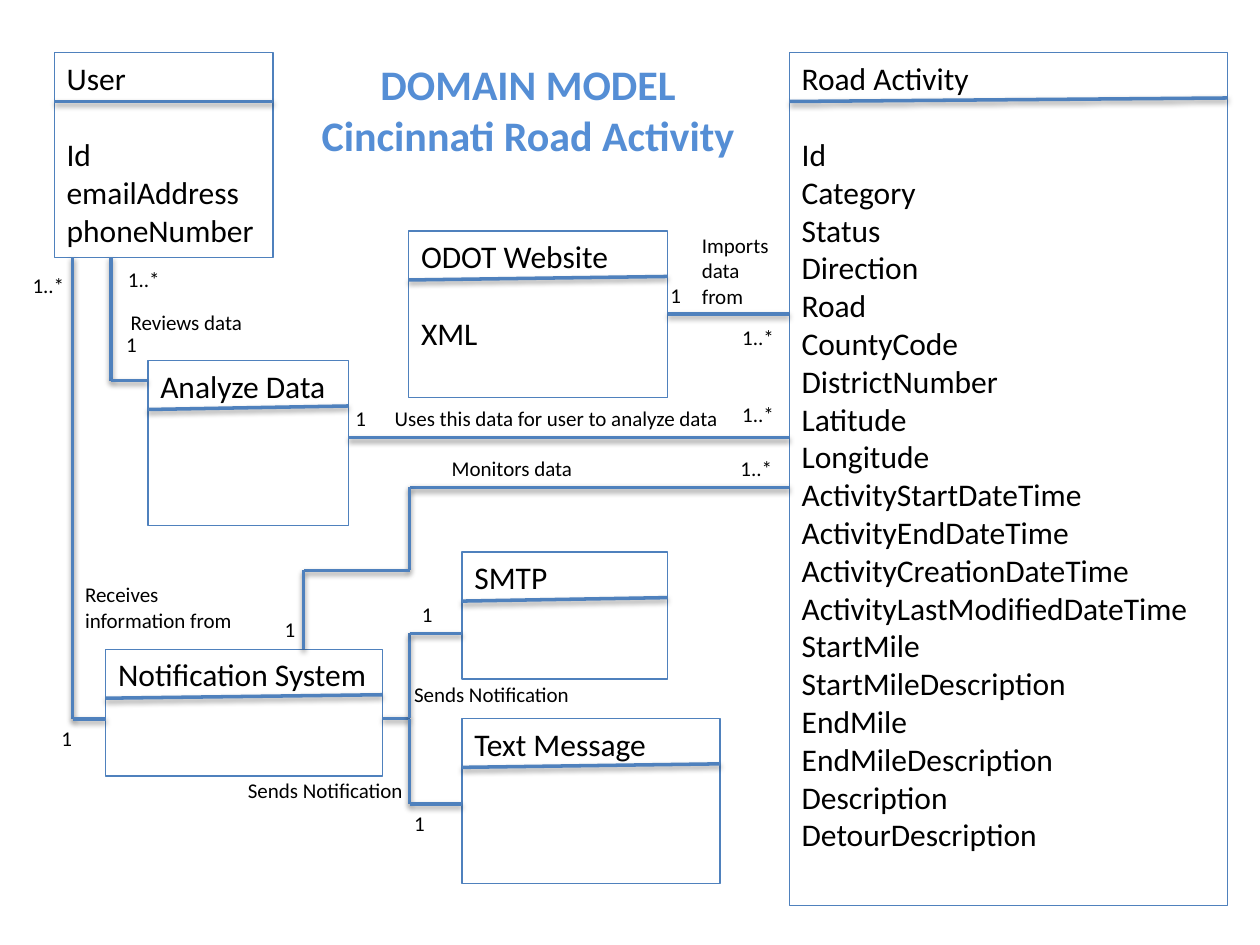
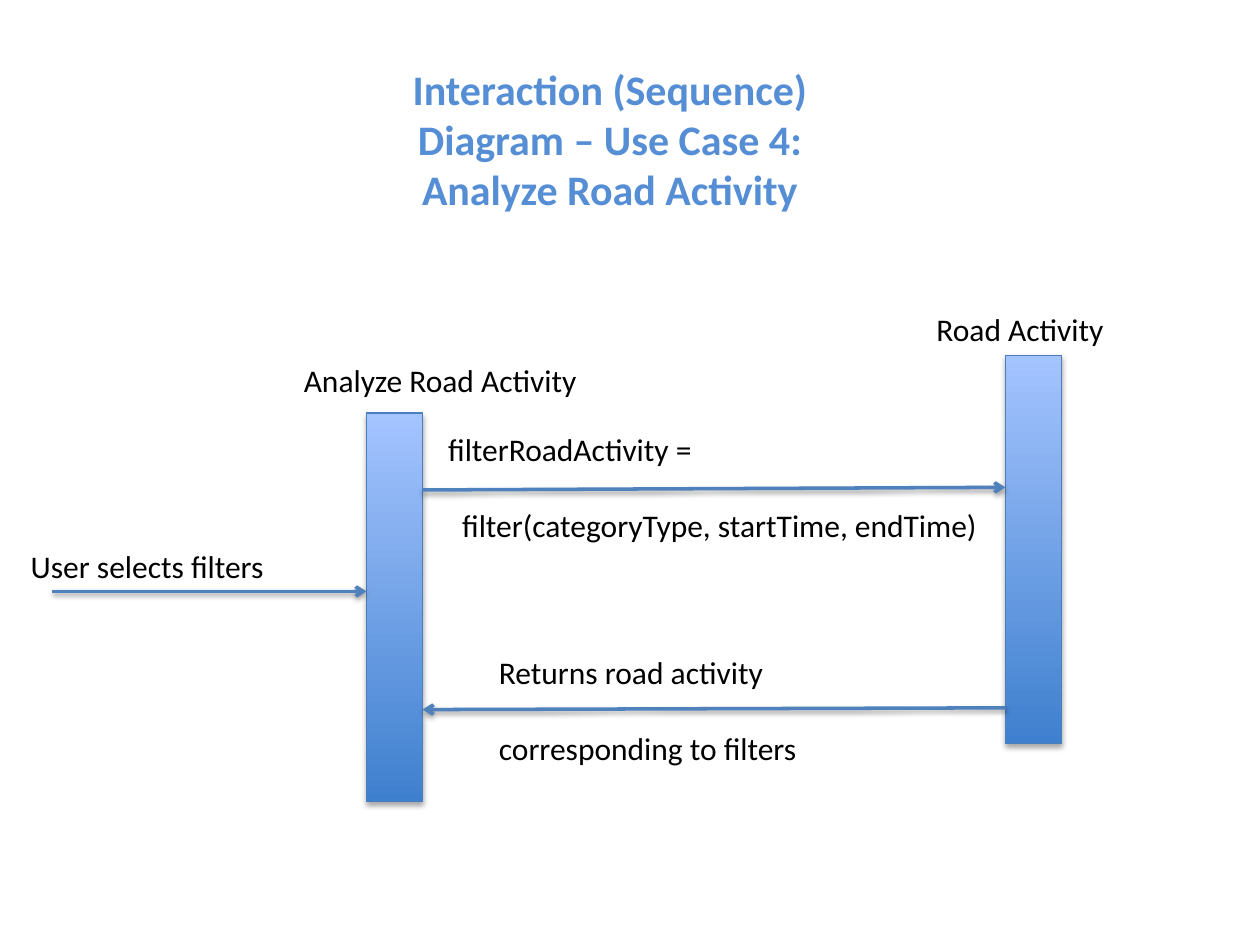
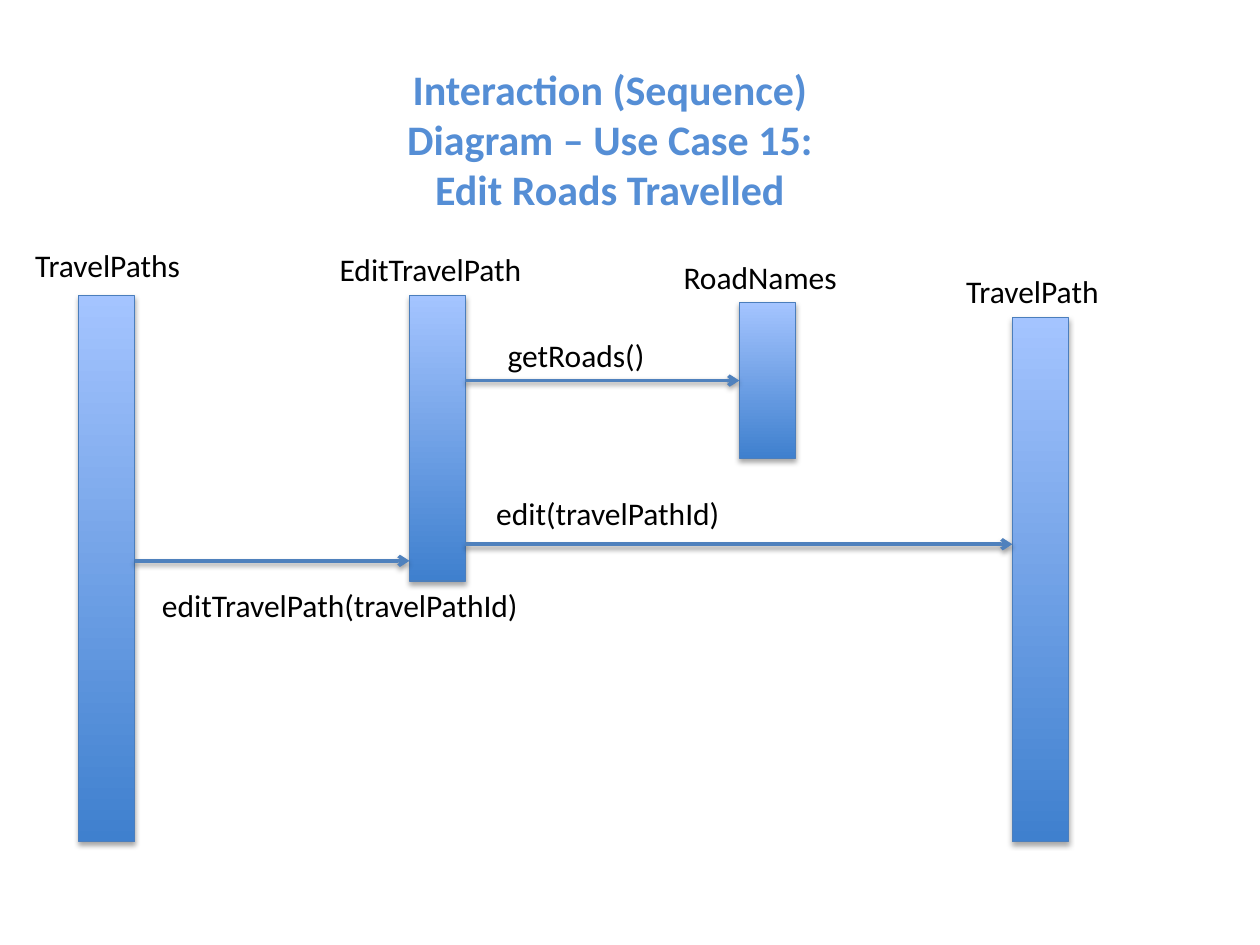
from lxml.etree import SubElement
from pptx import Presentation
from pptx.dml.color import RGBColor
from pptx.enum.shapes import MSO_CONNECTOR, MSO_SHAPE
from pptx.enum.text import MSO_ANCHOR, MSO_AUTO_SIZE, PP_ALIGN
from pptx.oxml.ns import qn
from pptx.util import Pt

FONT = "Calibri"
COLORS = {
    "text": "000000", "title": "558ED5", "line": "4F81BD",
    "bar_line": "4B7EBC", "bar_bottom": "3F80CE", "bar_top": "A4C4FF",
}
BAR_WIDTH = 32
HEADER_DROP = 28
BLANK_LINE = 22

# Domain model: name -> left, top, width, height, header rise, attributes
ENTITIES = {
    "User": (31, 30, 125, 117, 0, ["Id", "emailAddress", "phoneNumber"]),
    "ODOT Website": (233.5, 132, 148, 95, 2, ["XML"]),
    "Analyze Data": (84.5, 206, 114.5, 94.5, 2, []),
    "Road Activity": (451, 30, 250.5, 487.5, 2, [
        "Id", "Category", "Status", "Direction", "Road", "CountyCode",
        "DistrictNumber", "Latitude", "Longitude", "ActivityStartDateTime",
        "ActivityEndDateTime", "ActivityCreationDateTime",
        "ActivityLastModifiedDateTime", "StartMile", "StartMileDescription",
        "EndMile", "EndMileDescription", "Description", "DetourDescription"]),
    "Notification System": (60.5, 371, 158, 72.5, 2, []),
    "SMTP": (264, 315.5, 117.5, 72.5, 2, []),
    "Text Message": (264, 410.5, 147.5, 94.5, 2, []),
}
RELATIONS = [
    [(63.5, 147), (63.5, 217.5), (84, 217.5)],
    [(41.5, 147), (41.5, 411), (60.5, 411)],
    [(218.5, 410.5), (234, 410.5), (234, 362), (264, 362)],
    [(234, 411), (234, 459.5), (264, 459.5)],
    [(451, 250), (199, 250)],
    [(451, 278.5), (234, 278.5), (234, 326), (173.5, 326), (173.5, 371)],
]
IMPORT_START = (451, 179.5)
MULTIPLICITIES = {
    "1": [(65, 186), (376, 158), (155.5, 349), (28, 411), (234, 340),
          (229.5, 459.5), (196, 228)],
    "1..*": [(66, 148.5), (417, 182), (417, 226), (416, 257), (11.5, 152)],
}
# text, left, top, width, lines
ROLES = [
    ("Reviews data", 67.5, 173.5, 132, 1),
    ("Receives information from", 41.5, 329, 106.5, 2),
    ("Imports data from", 394, 129.5, 57, 3),
    ("Uses this data for user to analyze data", 218.5, 228, 232.5, 1),
    ("Monitors data", 251, 257, 123, 1),
    ("Sends Notification", 229.5, 386, 106.5, 1),
    ("Sends Notification", 134.5, 440.5, 106.5, 1),
]

# bars: name, left, top, height, then label left, top, width
# arrows: start, end, name of the bar joined at its left middle
# messages: paragraphs, left, top, width, indent of the last paragraph
SEQUENCES = [
    {
        "title": "Interaction (Sequence) Diagram – Use Case 4: Analyze Road Activity",
        "bars": [
            ("Analyze Road Activity", 209.5, 236, 222, 166.5, 203, 173),
            ("Road Activity", 574.5, 203, 222, 528, 173.5, 111.5),
        ],
        "arrows": [
            ((30, 338), (209.5, 338), None),
            ((241.5, 280), (574.5, 278.5), None),
            ((574.5, 404.5), (241.5, 405.5), None),
        ],
        "messages": [
            (["User selects filters"], 10.5, 309, 150, 0),
            (["filterRoadActivity =", "filter(categoryType, startTime, endTime)"],
             249, 242, 322, 8),
            (["Returns road activity", "corresponding to filters"],
             278, 369.5, 187, 0),
        ],
    },
    {
        "title": "Interaction (Sequence) Diagram – Use Case 15: Edit Roads Travelled",
        "bars": [
            ("TravelPaths", 45, 169, 312, 13, 137, 101),
            ("RoadNames", 422.5, 173, 89, 383.5, 144, 103.5),
            ("EditTravelPath", 234, 169, 163, 187, 139.5, 122.5),
            ("TravelPath", 578.5, 181.5, 299.5, 545, 152, 93.5),
        ],
        "arrows": [
            ((77, 320.5), (234, 320.5), None),
            ((266, 217.5), (422.5, 217.5), "RoadNames"),
            ((266, 311), (578.5, 311), None),
        ],
        "messages": [
            (["editTravelPath(travelPathId)"], 85.5, 331.5, 224, 0),
            (["getRoads()"], 283, 188.5, 94.5, 0),
            (["edit(travelPathId)"], 276.5, 278.5, 144.5, 0),
        ],
    },
]


def color(key):
    return RGBColor.from_string(COLORS[key])


def write(frame, paragraphs, size=18, key="text", bold=False,
          align=PP_ALIGN.LEFT, gap=0):
    """Fill a text frame; gap is the space after its first paragraph."""
    frame.vertical_anchor = MSO_ANCHOR.TOP
    for index, text in enumerate(paragraphs):
        paragraph = frame.paragraphs[0] if index == 0 else frame.add_paragraph()
        paragraph.alignment = align
        if index == 0:
            paragraph.space_after = Pt(gap)
        run = paragraph.add_run()
        run.text = text
        run.font.name = FONT
        run.font.size = Pt(size)
        run.font.bold = bold
        run.font.color.rgb = color(key)


def add_text(slide, paragraphs, left, top, width, lines=1, size=18, wrap=True,
             **style):
    height = lines * size * 1.2 + 7.2
    box = slide.shapes.add_textbox(Pt(left), Pt(top), Pt(width), Pt(height))
    box.text_frame.word_wrap = wrap
    box.text_frame.auto_size = MSO_AUTO_SIZE.SHAPE_TO_FIT_TEXT
    write(box.text_frame, paragraphs, size=size, **style)
    return box


def add_title(slide, paragraphs, left, top, width, lines):
    add_text(slide, paragraphs, left, top, width, lines, size=24, key="title",
             bold=True, align=PP_ALIGN.CENTER)


def cast_shadow(shape, distance, opacity):
    properties = shape._element.spPr
    effects = SubElement(properties, qn("a:effectLst"))
    shadow = SubElement(effects, qn("a:outerShdw"), blurRad=str(Pt(3.1)),
                        dist=str(Pt(distance)), dir="5400000", rotWithShape="0")
    black = SubElement(shadow, qn("a:srgbClr"), val="000000")
    SubElement(black, qn("a:alpha"), val=str(opacity * 1000))


def add_line(slide, start, end, arrow=False):
    line = slide.shapes.add_connector(
        MSO_CONNECTOR.STRAIGHT, *(Pt(value) for value in (*start, *end)))
    line.line.color.rgb = color("line")
    line.line.width = Pt(2)
    if arrow:
        SubElement(line.line._get_or_add_ln(), qn("a:tailEnd"), type="arrow")
    cast_shadow(line, 1.6, 38)
    return line


def add_rectangle(slide, left, top, width, height, line_key):
    rectangle = slide.shapes.add_shape(
        MSO_SHAPE.RECTANGLE, Pt(left), Pt(top), Pt(width), Pt(height))
    rectangle.line.color.rgb = color(line_key)
    rectangle.line.width = Pt(0.75)
    return rectangle


def add_entity(slide, name, left, top, width, height, rise, attributes):
    entity = add_rectangle(slide, left, top, width, height, "line")
    entity.fill.background()
    entity.shadow.inherit = False
    write(entity.text_frame, [name, *attributes],
          gap=BLANK_LINE if attributes else 0)
    header = top + HEADER_DROP
    add_line(slide, (left, header), (left + width, header - rise))
    return entity


def add_bar(slide, left, top, height):
    bar = add_rectangle(slide, left, top, BAR_WIDTH, height, "bar_line")
    bar.fill.gradient()
    bar.fill.gradient_angle = 90
    for stop, key in zip(bar.fill.gradient_stops, ("bar_bottom", "bar_top")):
        stop.color.rgb = color(key)
    cast_shadow(bar, 1.8, 35)
    return bar


def build_domain_model(slide):
    entities = {name: add_entity(slide, name, *layout)
                for name, layout in ENTITIES.items()}
    for route in RELATIONS:
        for start, end in zip(route, route[1:]):
            add_line(slide, start, end)
    imports = add_line(slide, IMPORT_START, (381.5, IMPORT_START[1]))
    imports.end_connect(entities["ODOT Website"], 3)
    add_title(slide, ["DOMAIN MODEL", "Cincinnati Road Activity"],
              173.5, 30, 256.5, 2)
    for multiplicity, places in MULTIPLICITIES.items():
        for left, top in places:
            add_text(slide, [multiplicity], left, top, 34, size=12)
    for role, *place in ROLES:
        add_text(slide, [role], *place, size=12)


def build_sequence(slide, sequence):
    add_title(slide, [sequence["title"]], 209.5, 32.5, 278, 3)
    bars = {}
    for name, left, top, height, *label_place in sequence["bars"]:
        bars[name] = add_bar(slide, left, top, height)
        add_text(slide, [name], *label_place, wrap=False)
    for start, end, target in sequence["arrows"]:
        arrow = add_line(slide, start, end, arrow=True)
        if target:
            arrow.end_connect(bars[target], 1)
    for paragraphs, left, top, width, indent in sequence["messages"]:
        several = len(paragraphs) > 1
        message = add_text(slide, paragraphs, left, top, width,
                           lines=3 if several else 1, wrap=False,
                           gap=BLANK_LINE if several else 0)
        if indent:
            last = message.text_frame.paragraphs[-1]
            last._p.get_or_add_pPr().set("marL", str(Pt(indent)))


def main():
    deck = Presentation()
    deck.slide_width, deck.slide_height = Pt(720), Pt(540)
    blank = deck.slide_layouts[6]
    build_domain_model(deck.slides.add_slide(blank))
    for sequence in SEQUENCES:
        build_sequence(deck.slides.add_slide(blank), sequence)
    deck.save("out.pptx")


if __name__ == "__main__":
    main()
